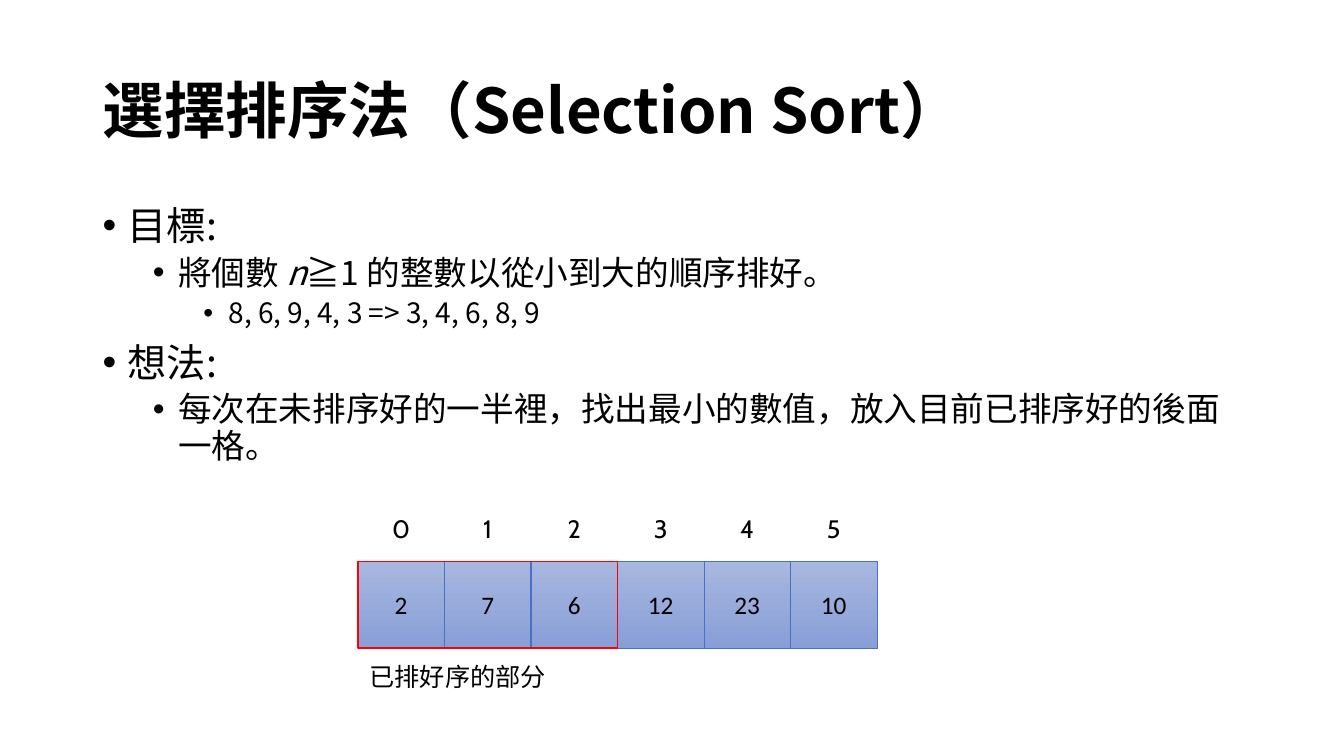
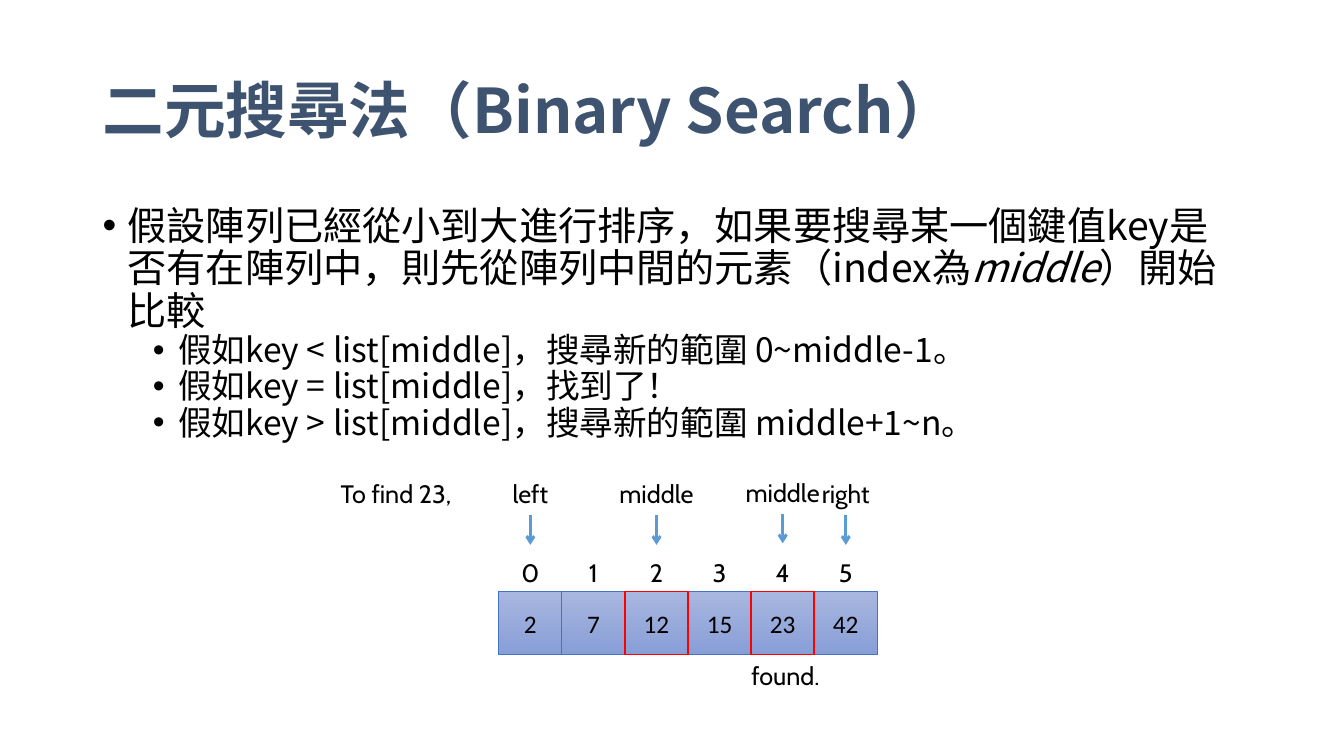
import dataclasses

import pptx
import pptx.dml.color
import pptx.enum.shapes
import pptx.enum.text
import pptx.oxml
import pptx.oxml.ns
import pptx.util

Cm = pptx.util.Cm
Pt = pptx.util.Pt
ALIGN = pptx.enum.text.PP_ALIGN
RECTANGLE = pptx.enum.shapes.MSO_SHAPE.RECTANGLE


@dataclasses.dataclass(frozen=True)
class Theme:
    ink: str = "000000"
    slate: str = "3E5370"
    cell_top: str = "A8B7DF"
    cell_bottom: str = "889ED7"
    cell_border: str = "4472C4"
    highlight: str = "FF0000"
    pointer: str = "5B9BD5"
    heading_font: str = "Noto Sans CJK TC"
    value_font: str = "Calibri"
    label_font: str = "Cabin"
    title_size: int = 44
    list_sizes: tuple = (28, 24, 20)
    label_size: int = 18


THEME = Theme()


@dataclasses.dataclass(frozen=True)
class Array:
    left: float
    top: float
    cell: float
    index_top: float
    index_height: float

    def edge(self, index):
        return self.left + index * self.cell

    def center(self, index):
        return self.edge(index + 0.5)


def rgb(value):
    return pptx.dml.color.RGBColor.from_string(value)


def append_xml(parent, tag, attributes=""):
    namespace = pptx.oxml.ns.nsdecls("a")
    parent.append(pptx.oxml.parse_xml(f"<a:{tag} {namespace} {attributes}/>"))


def write(paragraph, text, *, size=THEME.label_size, font=THEME.label_font,
          color=THEME.ink, bold=False, italic=False):
    run = paragraph.add_run()
    run.text = text
    run.font.size = Pt(size)
    run.font.name = font
    run.font.bold = bold
    run.font.italic = italic
    run.font.color.rgb = rgb(color)
    append_xml(run.font._element, "ea", f'typeface="{THEME.heading_font}"')


def prepare_layout(deck):
    layout = deck.slide_layouts[1]
    frames = ((2.33, 1.01, 29.21, 3.68), (2.33, 5.08, 29.21, 12.09))
    for placeholder, frame in zip(layout.placeholders, frames):
        placeholder.left, placeholder.top, placeholder.width, placeholder.height = map(Cm, frame)
        placeholder.text_frame.auto_size = pptx.enum.text.MSO_AUTO_SIZE.NONE
    return layout


def add_topic(deck, layout, title, color):
    slide = deck.slides.add_slide(layout)
    heading = slide.shapes.title.text_frame.paragraphs[0]
    heading.alignment = ALIGN.LEFT
    heading.line_spacing = 0.9
    write(heading, title, size=THEME.title_size, font=THEME.heading_font,
          color=color, bold=True)
    return slide


def add_list(slide, items, spacing):
    frame = slide.placeholders[1].text_frame
    for position, (level, *pieces) in enumerate(items):
        item = frame.add_paragraph() if position else frame.paragraphs[0]
        item.level = level
        item.line_spacing = 0.9
        item.space_before = Pt(spacing[level])
        properties = item._p.get_or_add_pPr()
        properties.set("marL", str(Cm(0.635 + 1.27 * level)))
        properties.set("indent", str(-Cm(0.635)))
        append_xml(properties, "buFont", 'typeface="Arial"')
        append_xml(properties, "buChar", 'char="•"')
        for order, piece in enumerate(pieces):
            write(item, piece, size=THEME.list_sizes[level],
                  font=THEME.heading_font, italic=order % 2 == 1)


def add_label(slide, text, left, top, width, height=1.02):
    label = slide.shapes.add_textbox(Cm(left), Cm(top), Cm(width), Cm(height))
    label.text_frame.word_wrap = True
    paragraph = label.text_frame.paragraphs[0]
    paragraph.alignment = ALIGN.CENTER
    write(paragraph, text)


def add_box(slide, left, top, width, height, border, weight):
    box = slide.shapes.add_shape(RECTANGLE, Cm(left), Cm(top), Cm(width), Cm(height))
    box.shadow.inherit = False
    box.fill.background()
    box.line.color.rgb = rgb(border)
    box.line.width = Pt(weight)
    return box


def add_cell(slide, value, left, top, size):
    cell = add_box(slide, left, top, size, size, THEME.cell_border, 0.5)
    cell.fill.gradient()
    cell.fill.gradient_angle = 270
    for stop, color in zip(cell.fill.gradient_stops, (THEME.cell_top, THEME.cell_bottom)):
        stop.color.rgb = rgb(color)
    cell.text_frame.vertical_anchor = pptx.enum.text.MSO_ANCHOR.MIDDLE
    paragraph = cell.text_frame.paragraphs[0]
    paragraph.alignment = ALIGN.CENTER
    write(paragraph, str(value), font=THEME.value_font)


def add_array(slide, array, values):
    for index, value in enumerate(values):
        left = array.edge(index)
        add_cell(slide, value, left, array.top, array.cell)
        add_label(slide, str(index), left, array.index_top, array.cell, array.index_height)


def add_highlight(slide, array, first, count=1):
    add_box(slide, array.edge(first), array.top, count * array.cell, array.cell,
            THEME.highlight, 1)


def add_pointer(slide, array, name, index, top=11.94):
    center, width = array.center(index), 2.4
    add_label(slide, name, center - width / 2, top, width)
    arrow = slide.shapes.add_connector(
        pptx.enum.shapes.MSO_CONNECTOR.STRAIGHT,
        Cm(center), Cm(top + 1.04), Cm(center), Cm(top + 1.79))
    arrow.line.color.rgb = rgb(THEME.pointer)
    arrow.line.width = Pt(2)
    append_xml(arrow.line._get_or_add_ln(), "tailEnd", 'type="arrow"')
    append_xml(arrow._element.spPr, "effectLst")


def build_selection_sort(deck, layout):
    slide = add_topic(deck, layout, "選擇排序法（Selection Sort）", THEME.ink)
    add_list(slide, [
        (0, "目標:"),
        (1, "將個數 ", "n", "≧1 的整數以從小到大的順序排好。"),
        (2, "8, 6, 9, 4, 3 => 3, 4, 6, 8, 9"),
        (0, "想法:"),
        (1, "每次在未排序好的一半裡，找出最小的數值，放入目前已排序好的後面一格。"),
    ], spacing=(10, 5, 5))
    array = Array(left=9.02, top=14.15, cell=2.18, index_top=12.8, index_height=1.42)
    add_array(slide, array, (2, 7, 6, 12, 23, 10))
    add_highlight(slide, array, 0, count=3)
    add_label(slide, "已排好序的部分", 7.52, 16.54, 8.03, 1.42)


def build_binary_search(deck, layout):
    slide = add_topic(deck, layout, "二元搜尋法（Binary Search）", THEME.slate)
    add_list(slide, [
        (0, "假設陣列已經從小到大進行排序，如果要搜尋某一個鍵值key是否有在陣列中，"
            "則先從陣列中間的元素（index為", "middle", "）開始比較"),
        (1, "假如key < list[middle]，搜尋新的範圍 0~middle-1。"),
        (1, "假如key = list[middle]，找到了！"),
        (1, "假如key > list[middle]，搜尋新的範圍 middle+1~n。"),
    ], spacing=(0, 0))
    array = Array(left=12.57, top=14.91, cell=1.59, index_top=13.92, index_height=1.02)
    add_array(slide, array, (2, 7, 12, 15, 23, 42))
    for probe in (2, 4):
        add_highlight(slide, array, probe)
    for name, index in (("left", 0), ("right", 5), ("middle", 2)):
        add_pointer(slide, array, name, index)
    add_pointer(slide, array, "middle", 4, top=11.9)
    add_label(slide, "To find 23,", 8, 11.94, 3.96)
    add_label(slide, "found.", 18.31, 16.51, 2.97)


def main():
    deck = pptx.Presentation()
    deck.slide_width, deck.slide_height = Cm(33.87), Cm(19.05)
    layout = prepare_layout(deck)
    build_selection_sort(deck, layout)
    build_binary_search(deck, layout)
    deck.save("out.pptx")


if __name__ == "__main__":
    main()
